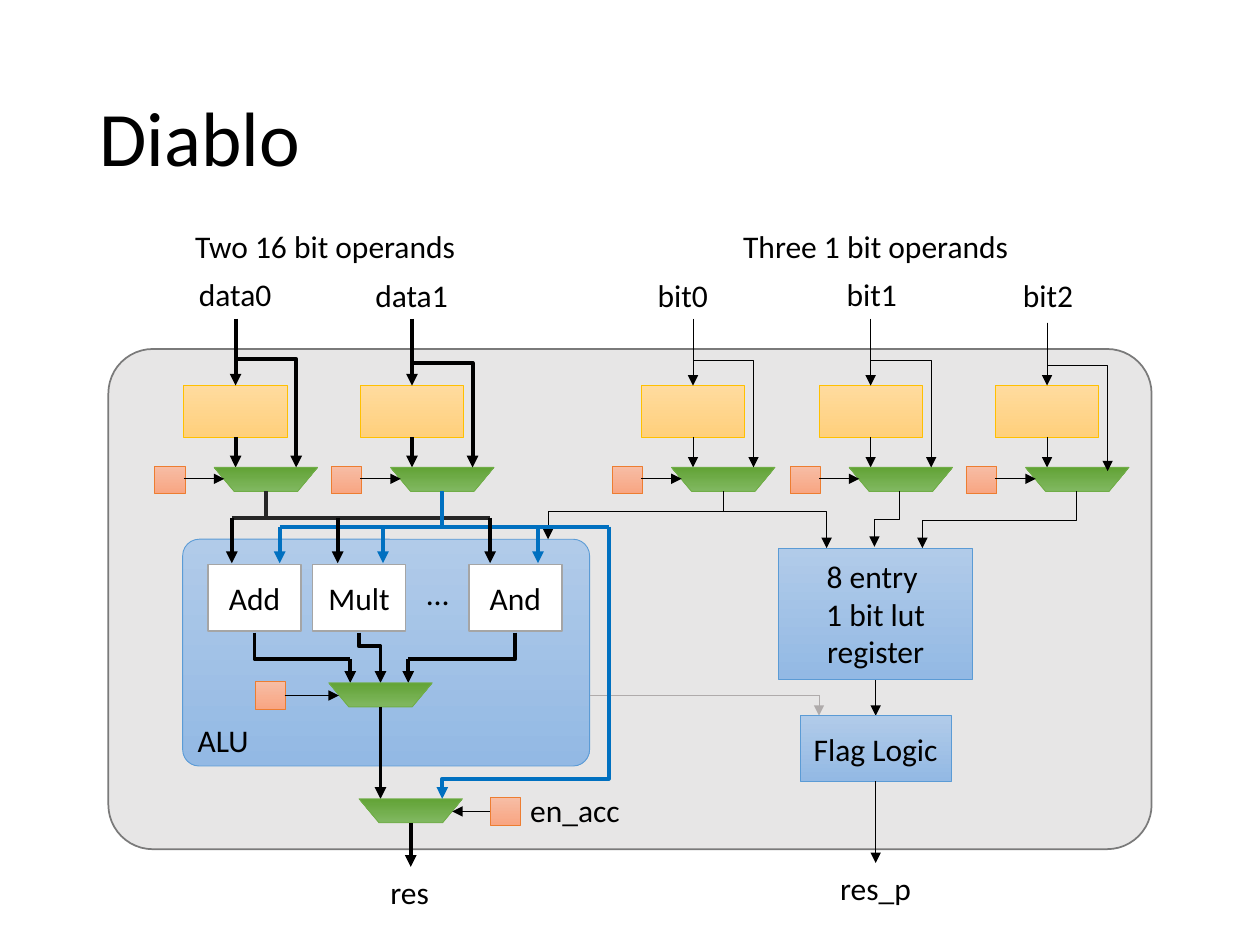
from lxml import etree
from pptx import Presentation
from pptx.dml.color import RGBColor
from pptx.enum.shapes import MSO_CONNECTOR as CONN, MSO_SHAPE as SHAPE
from pptx.enum.text import MSO_ANCHOR, MSO_AUTO_SIZE, PP_ALIGN
from pptx.oxml.ns import qn
from pptx.util import Inches, Pt

rgb = RGBColor.from_string
BLACK, DARK, BLUE, GRAY = "000000", "262626", "0070C0", "AFABAB"
THICK, THIN = 2.25, 0.5

# Each style: top colour, bottom colour, line colour, line width
REG = ("FFDB9E", "FFD07C", "FFC000", 0.5)
CONFIG = ("F7BDA5", "F8A582", "ED7D31", 0.5)
MUX = ("81B861", "62A336", "70AD47", 0.5)
UNIT = ("B1CBE9", "93B9E4", "5B9BD5", 0.5)
FRAME = ("E7E6E6", "E7E6E6", "7A7A7A", 1)
OP = ("FFFFFF", "FFFFFF", "A5A5A5", 1)

prs = Presentation()
prs.slide_width, prs.slide_height = Inches(10), Inches(7.5)
s = prs.slides.add_slide(prs.slide_layouts[5])


def box(kind, style, x, y, w, h, adj=None, lines=()):
    sp = s.shapes.add_shape(kind, Inches(x), Inches(y), Inches(w), Inches(h))
    sp.shadow.inherit = False
    top, bottom, line, width = style
    if top == bottom:
        sp.fill.solid()
        sp.fill.fore_color.rgb = rgb(top)
    else:
        sp.fill.gradient()
        sp.fill.gradient_angle = 270
        for stop, color in zip(sp.fill.gradient_stops, (top, bottom)):
            stop.color.rgb = rgb(color)
    sp.line.color.rgb = rgb(line)
    sp.line.width = Pt(width)
    if adj is not None:
        sp.adjustments[0] = adj
    if kind == SHAPE.TRAPEZOID:
        sp.rotation = 180
    tf = sp.text_frame
    tf.vertical_anchor = MSO_ANCHOR.MIDDLE
    for i, line_text in enumerate(lines):
        p = tf.add_paragraph() if i else tf.paragraphs[0]
        p.text = line_text
        p.alignment = PP_ALIGN.CENTER
        p.font.name, p.font.size = "Calibri", Pt(18)
        p.font.color.rgb = rgb(BLACK)


def wire(x1, y1, x2, y2, color=BLACK, width=THIN, arrow=True, bend=None):
    """Straight line, or a down-across-down elbow that turns at height bend."""
    if bend is None:
        ends, kind = (x1, y1, x2, y2), CONN.STRAIGHT
    else:
        # A vertical elbow is a horizontal one turned about its centre
        cx, cy = (x1 + x2) / 2, (y1 + y2) / 2
        half_w, half_h = (y2 - y1) / 2, abs(x2 - x1) / 2
        if x2 > x1:
            half_w = -half_w
        ends = (cx - half_w, cy - half_h, cx + half_w, cy + half_h)
        kind = CONN.ELBOW
    c = s.shapes.add_connector(kind, *[Inches(v) for v in ends])
    c.line.color.rgb = rgb(color)
    c.line.width = Pt(width)
    pr = c._element.spPr
    if bend is not None:
        pr.find(qn("a:xfrm")).set("rot", str((270 if x2 > x1 else 90) * 60000))
        ratio = round((bend - y1) / (y2 - y1) * 100000)
        av = pr.find(qn("a:prstGeom")).find(qn("a:avLst"))
        etree.SubElement(av, qn("a:gd"), name="adj1", fmla=f"val {ratio}")
    if arrow:
        etree.SubElement(pr.find(qn("a:ln")), qn("a:tailEnd"), type="triangle")
    etree.SubElement(pr, qn("a:effectLst"))


# Title
title = s.shapes.title
title.left, title.top = Inches(0.69), Inches(0.4)
title.width, title.height = Inches(8.62), Inches(1.45)
title.text_frame.vertical_anchor = MSO_ANCHOR.MIDDLE
p = title.text_frame.paragraphs[0]
p.text = "Diablo"
p.alignment, p.line_spacing = PP_ALIGN.LEFT, 0.9
p.font.name, p.font.size = "Calibri", Pt(44)
p.font.color.rgb = rgb(BLACK)

# Processing element and ALU frames
box(SHAPE.ROUNDED_RECTANGLE, FRAME, 0.86, 2.77, 8.28, 3.97, 0.089)
box(SHAPE.ROUNDED_RECTANGLE, UNIT, 1.45, 4.28, 3.23, 1.8, 0.073)

# Input columns: register, bypass mux and its config bit
for x, top, bend, end, width in [
    (1.46, 2.53, 2.85, 3.71, THICK),
    (2.86, 2.53, 2.88, 3.71, THICK),
    (5.09, 2.53, 2.86, 3.71, THIN),
    (6.5, 2.53, 2.86, 3.71, THIN),
    (7.9, 2.56, 2.9, 3.74, THIN),
]:
    mid = x + 0.41
    box(SHAPE.RECTANGLE, REG, x, 3.06, 0.82, 0.41)
    wire(mid, top, mid, 3.06, width=width)
    wire(mid, 3.47, mid, 3.71, width=width)
    box(SHAPE.TRAPEZOID, MUX, x + 0.24, 3.71, 0.82, 0.19, 0.832)
    wire(mid, top, x + 0.89, end, width=width, bend=bend)
    box(SHAPE.RECTANGLE, CONFIG, x - 0.23, 3.7, 0.24, 0.22)
    wire(x, 3.8, x + 0.32, 3.8)

# Bit path: lookup table and flag logic
wire(5.74, 3.9, 6.56, 4.35, bend=4.06)
wire(7.14, 3.9, 6.94, 4.34, bend=4.12)
wire(8.54, 3.9, 7.32, 4.35, bend=4.13)
wire(5.74, 3.9, 4.35, 4.28, bend=4.06)
box(SHAPE.RECTANGLE, UNIT, 6.18, 4.35, 1.54, 1.04,
    lines=["8 entry ", "1 bit lut register"])
wire(6.95, 5.4, 6.95, 5.68)
wire(6.5, 5.52, 4.68, 5.52, GRAY, arrow=False)
wire(6.5, 5.52, 6.5, 5.68, GRAY)
box(SHAPE.RECTANGLE, UNIT, 6.35, 5.68, 1.2, 0.52, lines=["Flag Logic"])
wire(6.95, 6.2, 6.95, 6.85)

# Operand buses
wire(1.84, 4.11, 3.89, 4.11, DARK, THICK, arrow=False)
wire(2.11, 3.9, 2.11, 4.1, DARK, THICK, arrow=False)
wire(3.51, 3.9, 3.51, 4.18, BLUE, THICK, arrow=False)
wire(2.22, 4.18, 4.83, 4.18, BLUE, THICK, arrow=False)

# Operations: box, operand inputs, and output to the result mux
for name, x, in0, in1, out, bend in [
    ("Add", 1.65, 1.84, 2.22, 2.78, 5.23),
    ("Mult", 2.48, 2.68, 3.04, 3.02, 5.13),
    ("And", 3.72, 3.89, 4.27, 3.24, 5.23),
]:
    box(SHAPE.RECTANGLE, OP, x, 4.48, 0.74, 0.53, lines=[name])
    wire(in0, 4.11, in0, 4.47, width=THICK)
    wire(in1, 4.18, in1, 4.47, BLUE, THICK)
    wire(x + 0.37, 5.02, out, 5.23, width=THICK, arrow=False, bend=bend)
    wire(out, 5.23, out, 5.42, width=THICK)

# Result mux and accumulate mux
box(SHAPE.TRAPEZOID, MUX, 2.61, 5.42, 0.82, 0.19, 0.832)
box(SHAPE.RECTANGLE, CONFIG, 2.03, 5.41, 0.24, 0.22)
wire(2.26, 5.52, 2.69, 5.52)
wire(3.02, 5.61, 3.02, 6.34, width=THICK)
box(SHAPE.TRAPEZOID, MUX, 2.85, 6.34, 0.82, 0.19, 0.832)
wire(4.83, 4.18, 3.51, 6.34, BLUE, THICK, bend=6.18)
wire(3.26, 6.53, 3.26, 6.88, width=THICK)
wire(3.89, 6.44, 3.59, 6.44)
box(SHAPE.RECTANGLE, CONFIG, 3.89, 6.33, 0.24, 0.22)

# Labels
for text, x, y, w in [
    ("Two 16 bit operands", 1.45, 1.75, 2.29),
    ("Three 1 bit operands", 5.8, 1.75, 2.33),
    ("data0", 1.48, 2.13, 0.78),
    ("data1", 2.88, 2.14, 0.78),
    ("bit0", 5.12, 2.14, 0.61),
    ("bit1", 6.62, 2.13, 0.61),
    ("bit2", 8.02, 2.14, 0.61),
    ("…", 3.29, 4.51, 0.38),
    ("ALU", 1.47, 5.67, 0.61),
    ("en_acc", 4.11, 6.23, 0.92),
    ("res", 3, 6.88, 0.51),
    ("res_p", 6.57, 6.85, 0.77),
]:
    tb = s.shapes.add_textbox(Inches(x), Inches(y), Inches(w), Inches(0.4))
    tf = tb.text_frame
    tf.word_wrap = False
    tf.auto_size = MSO_AUTO_SIZE.SHAPE_TO_FIT_TEXT
    p = tf.paragraphs[0]
    p.text = text
    p.font.name, p.font.size = "Calibri", Pt(18)
    p.font.color.rgb = rgb(BLACK)

prs.save("out.pptx")
